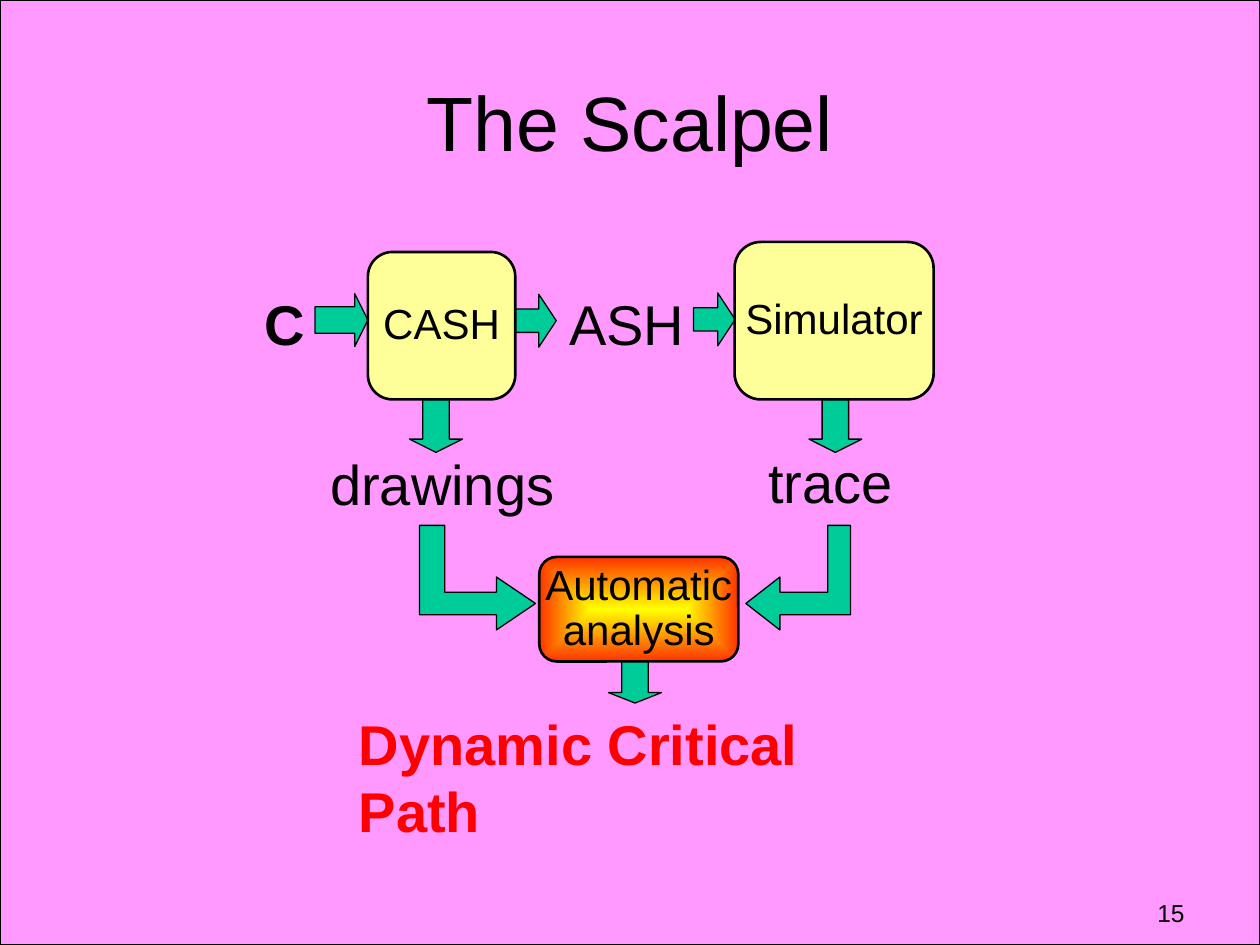
from dataclasses import dataclass

from lxml import etree
from pptx import Presentation
from pptx.dml.color import RGBColor
from pptx.enum.shapes import MSO_SHAPE
from pptx.enum.text import MSO_ANCHOR, MSO_AUTO_SIZE, PP_ALIGN
from pptx.oxml.ns import qn
from pptx.util import Inches, Pt

RECT = MSO_SHAPE.RECTANGLE
ROUND = MSO_SHAPE.ROUNDED_RECTANGLE
DOWN = MSO_SHAPE.DOWN_ARROW
MIDDLE = MSO_ANCHOR.MIDDLE
FIT = MSO_AUTO_SIZE.SHAPE_TO_FIT_TEXT
LEFT, CENTER, RIGHT = PP_ALIGN.LEFT, PP_ALIGN.CENTER, PP_ALIGN.RIGHT

BLACK = RGBColor(0x00, 0x00, 0x00)
PINK = RGBColor(0xFF, 0x99, 0xFF)
GREEN = RGBColor(0x00, 0xCC, 0x99)
CREAM = RGBColor(0xFF, 0xFF, 0x99)
YELLOW = RGBColor(0xFF, 0xFF, 0x00)
ORANGE = RGBColor(0xFF, 0x33, 0x00)
RED = RGBColor(0xFF, 0x00, 0x00)
FONT = "Arial"


@dataclass
class Box:
    lines: list[str]
    left: float
    top: float
    width: float
    height: float


@dataclass
class Label:
    text: str
    left: float
    top: float
    width: float
    height: float = 0.64
    size: int = 32
    color: RGBColor = BLACK
    bold: bool = False
    align: PP_ALIGN = LEFT
    wrap: bool = False


@dataclass
class Arrow:
    left: float
    top: float
    height: float
    turn: int = 0
    shaft: float = 0.5
    head: float = 0.25


@dataclass
class Elbow:
    outer: float
    inner: float
    neck: float
    tip: float


BOXES = [
    Box(["CASH"], 2.92, 2, 1.17, 1.17),
    Box(["Simulator"], 5.83, 1.92, 1.58, 1.25),
]
RESULT = Box(["Automatic", "analysis"], 4.28, 4.42, 1.58, 0.83)
LABELS = [
    Label("C", 2, 2.25, 0.52, bold=True),
    Label("ASH", 4.42, 2.25, 1.42, wrap=True),
    Label("trace", 6, 3.5, 1.19),
    Label("drawings", 2.52, 3.52, 1.98, align=CENTER),
    Label("Dynamic Critical Path", 2.75, 5.58, 4.77, color=RED, bold=True),
    Label("15", 9, 7.08, 0.5, 0.42, 14, align=RIGHT, wrap=True),
]
ARROWS = [
    Arrow(2.5, 2.33, 0.42, 270),
    Arrow(4.04, 2.38, 0.33, 270, 0.44, 0.42),
    Arrow(5.46, 2.37, 0.33, 270, 0.44, 0.42),
    Arrow(3.25, 3.17, 0.42),
    Arrow(6.42, 3.17, 0.42),
    Arrow(4.83, 5.25, 0.33),
]
ELBOWS = [Elbow(3.33, 3.53, 3.94, 4.25), Elbow(6.75, 6.57, 6.19, 5.92)]


def style(shape, color: RGBColor, weight: float = 0.75) -> None:
    shape.shadow.inherit = False
    shape.fill.solid()
    shape.fill.fore_color.rgb = color
    shape.line.color.rgb = BLACK
    shape.line.width = Pt(weight)


def write(para, text: str, size: int, color: RGBColor = BLACK,
          bold: bool = False, align: PP_ALIGN = CENTER) -> None:
    para.alignment = align
    run = para.add_run()
    run.text = text
    font = run.font
    font.name, font.size, font.bold = FONT, Pt(size), bold
    font.color.rgb = color


def draw_box(shapes, box: Box):
    shape = shapes.add_shape(ROUND, Inches(box.left), Inches(box.top),
                             Inches(box.width), Inches(box.height))
    style(shape, CREAM, 1.5)
    frame = shape.text_frame
    frame.word_wrap = False
    frame.vertical_anchor = MIDDLE
    for i, line in enumerate(box.lines):
        para = frame.add_paragraph() if i else frame.paragraphs[0]
        para.line_spacing = 0.9
        write(para, line, 24)
    return shape


def draw_label(shapes, label: Label) -> None:
    shape = shapes.add_textbox(Inches(label.left), Inches(label.top),
                               Inches(label.width), Inches(label.height))
    frame = shape.text_frame
    frame.word_wrap = label.wrap
    frame.auto_size = FIT
    write(frame.paragraphs[0], label.text, label.size, label.color,
          label.bold, label.align)


def draw_arrow(shapes, arrow: Arrow) -> None:
    shape = shapes.add_shape(DOWN, Inches(arrow.left), Inches(arrow.top),
                             Inches(0.42), Inches(arrow.height))
    shape.adjustments[0] = arrow.shaft
    shape.adjustments[1] = arrow.head
    shape.rotation = arrow.turn
    style(shape, GREEN)


def draw_elbow(shapes, bend: Elbow) -> None:
    points = [(bend.inner, 4.17), (bend.inner, 4.7), (bend.neck, 4.7),
              (bend.neck, 4.58), (bend.tip, 4.79), (bend.neck, 5),
              (bend.neck, 4.88), (bend.outer, 4.88), (bend.outer, 4.17)]
    first, *rest = [(Inches(x), Inches(y)) for x, y in points]
    pen = shapes.build_freeform(*first)
    pen.add_line_segments(rest, close=True)
    style(pen.convert_to_shape(), GREEN)


def glow(shape) -> None:
    shape.fill.gradient()
    for stop, color in zip(shape.fill.gradient_stops, (YELLOW, ORANGE)):
        stop.color.rgb = color
    grad = shape._element.spPr.find(qn("a:gradFill"))
    lin = grad.find(qn("a:lin"))
    ring = etree.Element(qn("a:path"), path="rect")
    etree.SubElement(ring, qn("a:fillToRect"),
                     l="50000", t="50000", r="50000", b="50000")
    grad.replace(lin, ring)


def main() -> None:
    deck = Presentation()
    deck.slide_width, deck.slide_height = Inches(10), Inches(7.5)
    slide = deck.slides.add_slide(deck.slide_layouts[5])
    shapes = slide.shapes

    title = shapes.title
    title.left, title.top = Inches(0.75), Inches(0.33)
    title.width, title.height = Inches(8.5), Inches(1.25)
    title.text_frame.vertical_anchor = MIDDLE
    write(title.text_frame.paragraphs[0], "The Scalpel", 44)

    back = shapes.add_shape(RECT, 0, 0, deck.slide_width, deck.slide_height)
    style(back, PINK)
    title._element.addprevious(back._element)

    for arrow in ARROWS:
        draw_arrow(shapes, arrow)
    for bend in ELBOWS:
        draw_elbow(shapes, bend)
    for box in BOXES:
        draw_box(shapes, box)
    glow(draw_box(shapes, RESULT))
    for label in LABELS:
        draw_label(shapes, label)

    deck.save("out.pptx")


if __name__ == "__main__":
    main()
